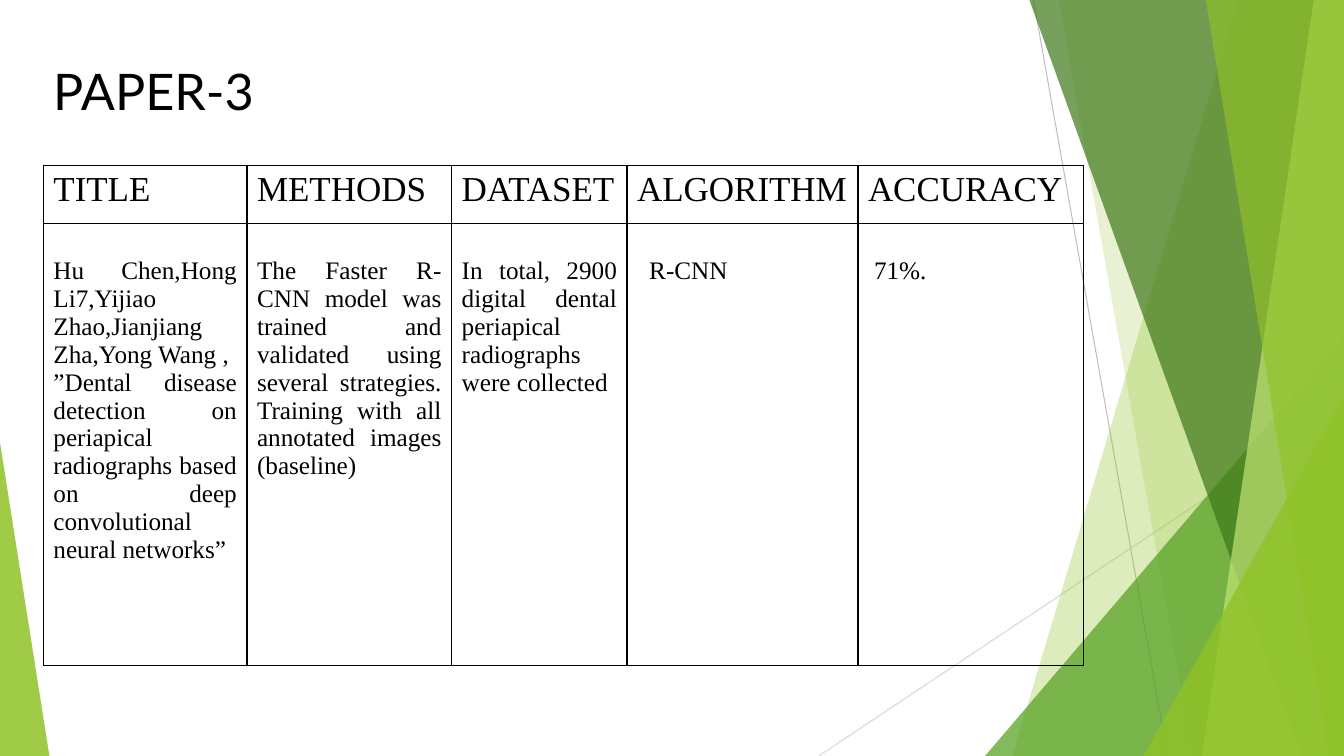
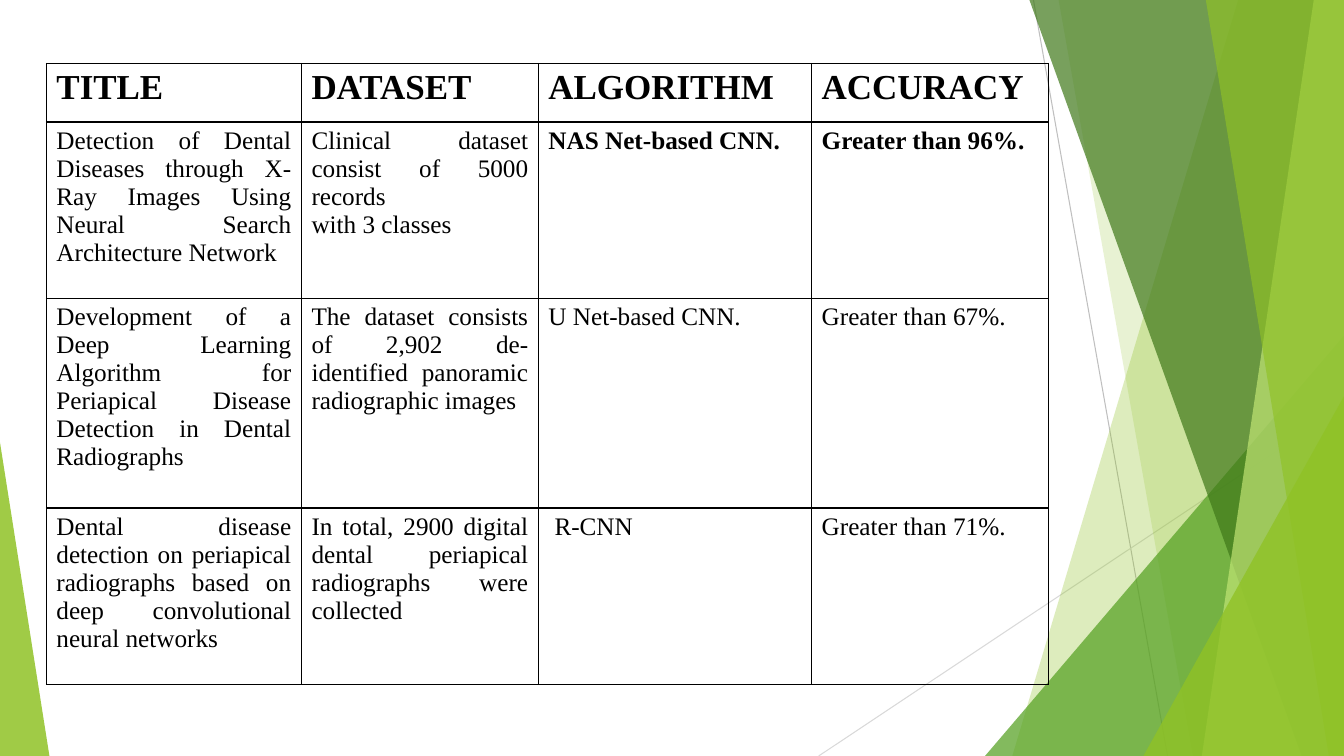
from lxml import etree
from pptx import Presentation
from pptx import util as u
from pptx.dml.color import RGBColor
from pptx.enum import shapes, text
from pptx.oxml import parse_xml
from pptx.oxml import ns

PX = 9144  # EMU in one px, 100 px to the inch
W, H = 1333, 750
C = {
    "text": "000000", "rule": "BFBFBF", "pale_rule": "D9D9D9",
    "lime": "90C226", "green": "54A021", "forest": "3F7819", "light": "C0E474",
}
TITLE_FONT, TABLE_FONT = "Lato", "Times New Roman"
HEAD_PT, BODY_PT = 25, 18
PAD = 10       # side margin of a cell
CELL_TOP = 5   # top margin of a cell

# Colour, start and end of the thin lines
RULES = [("rule", 1025, 0, 1158, H), ("pale_rule", W, 403, 812, H)]

# Bands reach the right edge: colour, opacity, x at the top, x at the bottom.
# Triangles: colour, opacity, left, top, width, apex (0 left, 1 right).
FACETS = [
    ("band", "lime", 30, 1228, 1004),
    ("band", "lime", 20, 1050, 1183),
    ("triangle", "green", 72, 977, 333, 356, 1),
    ("band", "forest", 70, 1021, 1291),
    ("band", "light", 70, 1303, 1192),
    ("band", "lime", 65, 1196, 1318),
    ("triangle", "lime", 80, 1134, 393, 199, 1),
    ("triangle", "lime", 85, 0, 439, 49, 0),
]

# A body cell is a text, or a text with its options: bold, indent
SLIDES = [
    {
        "title": "PAPER-3",
        "at": (43, 164), "cols": [202, 203, 174, 229, 224], "rows": [58, 438],
        "head_bold": False, "body_top": 33,
        "cells": [
            ["TITLE", "METHODS", "DATASET", "ALGORITHM", "ACCURACY"],
            ["Hu Chen,Hong Li7,Yijiao Zhao,Jianjiang Zha,Yong Wang ,\n"
             "”Dental disease detection on periapical radiographs based on deep "
             "convolutional neural networks”",
             "The Faster R-CNN model was trained and validated using several "
             "strategies. Training with all annotated images (baseline)",
             "In total, 2900 digital dental periapical radiographs were collected",
             ("R-CNN", {"indent": 12}),
             ("71%.", {"indent": 6})],
        ],
    },
    {
        "title": None,
        "at": (46, 63), "cols": [253, 235, 271, 235], "rows": [58, 175, 208, 175],
        "head_bold": True, "body_top": CELL_TOP,
        "cells": [
            ["TITLE", "DATASET", "ALGORITHM", "ACCURACY"],
            ["Detection of Dental Diseases through X‐Ray Images Using Neural "
             "Search Architecture Network",
             "Clinical dataset consist of 5000 records\nwith 3 classes",
             ("NAS Net-based CNN.", {"bold": True}),
             ("Greater than 96%.", {"bold": True})],
            ["Development of a Deep Learning Algorithm for Periapical Disease "
             "Detection in Dental Radiographs",
             "The dataset consists of 2,902 de-identified panoramic radiographic images",
             "U Net-based CNN.",
             "Greater than 67%."],
            ["Dental disease detection on periapical radiographs based on deep "
             "convolutional neural networks",
             "In total, 2900 digital dental periapical radiographs were collected",
             ("R-CNN", {"indent": 6}),
             "Greater than 71%."],
        ],
    },
]


def write(tf, content, font=TABLE_FONT, size=BODY_PT, bold=False, align=None):
    """Fill a text frame, one paragraph for each line of content."""
    for i, line in enumerate(content.split("\n")):
        p = tf.paragraphs[0] if i == 0 else tf.add_paragraph()
        p.alignment = align
        r = p.add_run()
        r.text = line
        r.font.name, r.font.size, r.font.bold = font, u.Pt(size), bold
        r.font.color.rgb = RGBColor.from_string(C["text"])


def add_borders(cell):
    tcPr = cell._tc.get_or_add_tcPr()
    for side in ("lnL", "lnR", "lnT", "lnB"):
        tcPr.append(parse_xml(
            f'<a:{side} {ns.nsdecls("a")} w="12700"><a:solidFill>'
            f'<a:srgbClr val="{C["text"]}"/></a:solidFill></a:{side}>'))


prs = Presentation()
prs.slide_width, prs.slide_height = W * PX, H * PX

for content in SLIDES:
    s = prs.slides.add_slide(prs.slide_layouts[6])

    for colour, *ends in RULES:
        line = s.shapes.add_connector(
            shapes.MSO_CONNECTOR.STRAIGHT, *[v * PX for v in ends])
        line.line.color.rgb = RGBColor.from_string(C[colour])
        line.line.width = u.Pt(0.75)
        etree.SubElement(line._element.spPr, ns.qn("a:effectLst"))

    for kind, colour, opacity, *geometry in FACETS:
        if kind == "band":
            top_x, bottom_x = geometry
            outline = s.shapes.build_freeform(top_x, 0, scale=PX)
            outline.add_line_segments([(W, 0), (W, H), (bottom_x, H)])
            sp = outline.convert_to_shape()
        else:
            left, top, width, apex = geometry
            sp = s.shapes.add_shape(
                shapes.MSO_SHAPE.ISOSCELES_TRIANGLE,
                left * PX, top * PX, width * PX, (H - top) * PX)
            sp.adjustments[0] = apex
        sp.shadow.inherit = False
        sp.line.fill.background()
        sp.fill.solid()
        sp.fill.fore_color.rgb = RGBColor.from_string(C[colour])
        srgb = sp._element.spPr.find(ns.qn("a:solidFill"))[0]
        etree.SubElement(srgb, ns.qn("a:alpha"), val=str(opacity * 1000))

    if content["title"]:
        box = s.shapes.add_textbox(43 * PX, 55 * PX, 264 * PX, 71 * PX)
        box.text_frame.word_wrap = True
        write(box.text_frame, content["title"], font=TITLE_FONT, size=36)

    left, top = content["at"]
    cols, rows = content["cols"], content["rows"]
    table = s.shapes.add_table(
        len(rows), len(cols), left * PX, top * PX,
        sum(cols) * PX, sum(rows) * PX).table
    table.first_row = table.horz_banding = False
    for column, width in zip(table.columns, cols):
        column.width = width * PX
    for row, height in zip(table.rows, rows):
        row.height = height * PX

    for i, entries in enumerate(content["cells"]):
        for j, entry in enumerate(entries):
            words, options = (entry, {}) if isinstance(entry, str) else entry
            cell = table.cell(i, j)
            add_borders(cell)
            cell.fill.background()
            cell.margin_left = (PAD + options.get("indent", 0)) * PX
            cell.margin_right = PAD * PX
            if i == 0:
                cell.margin_top = CELL_TOP * PX
                write(cell.text_frame, words, size=HEAD_PT, bold=content["head_bold"])
            else:
                cell.margin_top = content["body_top"] * PX
                write(cell.text_frame, words, bold=options.get("bold", False),
                      align=text.PP_ALIGN.JUSTIFY)

prs.save("out.pptx")
